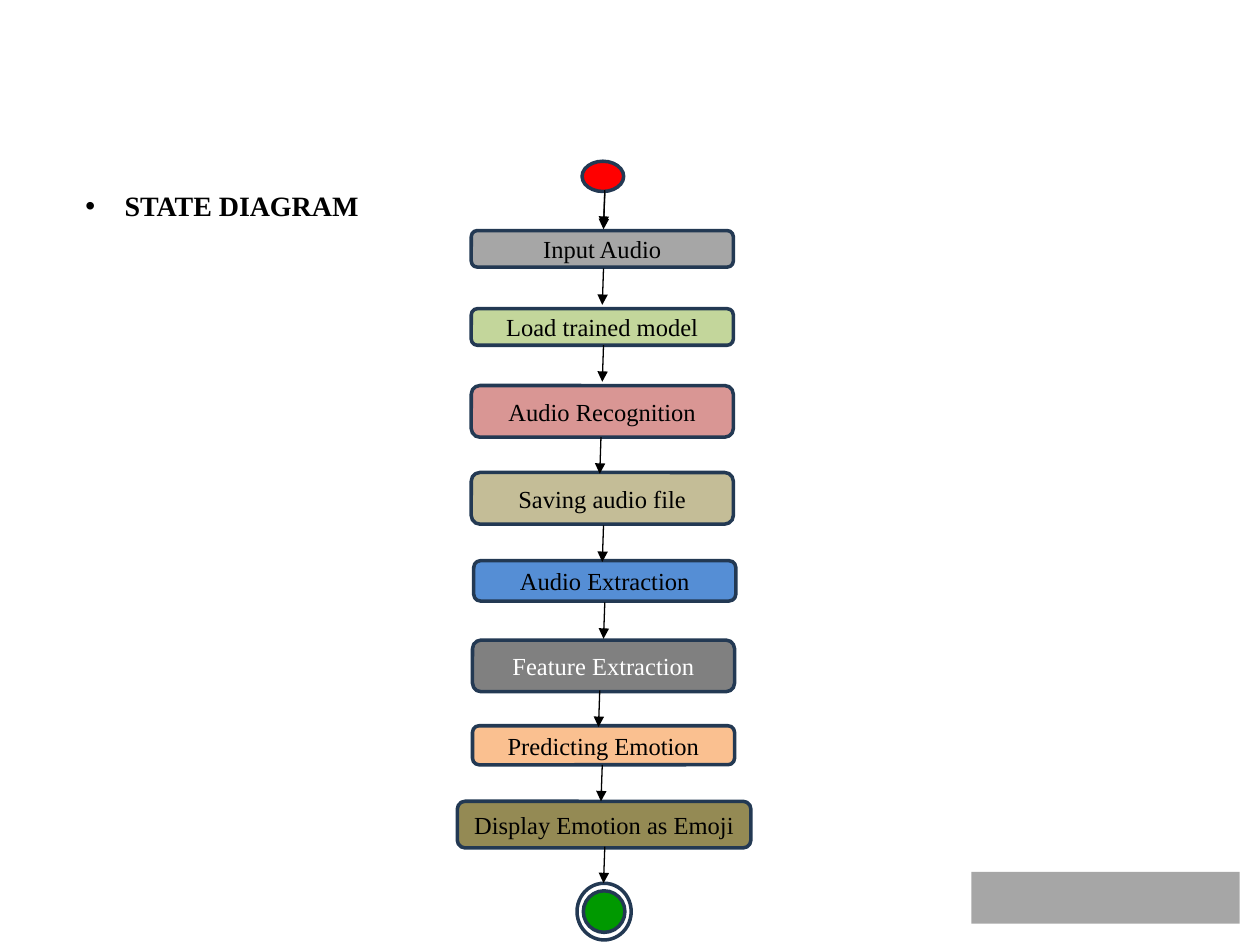
"""Build a state diagram slide for an audio emotion recognition flow."""
from lxml import etree
from pptx import Presentation
from pptx.dml.color import RGBColor
from pptx.enum import shapes as sh, text as tx
from pptx.oxml import ns
from pptx.util import Inches, Pt

BLACK = RGBColor(0, 0, 0)
WHITE = RGBColor(255, 255, 255)
NAVY = RGBColor(0x23, 0x39, 0x53)
RED = RGBColor(255, 0, 0)
GREEN = RGBColor(0, 0x99, 0)
SILVER = RGBColor(0xA6, 0xA6, 0xA6)
LIME = RGBColor(0xC3, 0xD6, 0x9B)
ROSE = RGBColor(0xD9, 0x96, 0x94)
SAND = RGBColor(0xC4, 0xBD, 0x97)
SKY = RGBColor(0x55, 0x8E, 0xD5)
GRAY = RGBColor(0x80, 0x80, 0x80)
PEACH = RGBColor(0xFA, 0xC0, 0x90)
OLIVE = RGBColor(0x94, 0x8A, 0x54)
SERIF = "Times New Roman"

deck = Presentation()
deck.slide_width, deck.slide_height = Inches(10), Inches(7.5)
slide = deck.slides.add_slide(deck.slide_layouts[6])


def style(par, size, color, bold=False):
    face = par.runs[0].font
    face.name, face.size, face.bold = SERIF, Pt(size), bold
    face.color.rgb = color


def draw(kind, area, fill, edge=None):
    item = slide.shapes.add_shape(kind, *map(Inches, area))
    item.shadow.inherit = False
    item.fill.solid()
    item.fill.fore_color.rgb = fill
    if edge is None:
        item.line.fill.background()
    else:
        item.line.color.rgb = edge
        item.line.width = Pt(2)
    return item


draw(sh.MSO_SHAPE.RECTANGLE, (7.71, 6.92, 2.13, 0.41), SILVER)

title = slide.shapes.add_textbox(Inches(0.58), Inches(1.45), Inches(3.08), Inches(0.37))
title.text_frame.word_wrap = True
title.text_frame.text = "STATE DIAGRAM"
par = title.text_frame.paragraphs[0]
style(par, 16, BLACK, True)
props = par._p.get_or_add_pPr()
props.set("marL", str(Inches(0.31)))
props.set("indent", str(-Inches(0.31)))
etree.SubElement(props, ns.qn("a:buFont")).set("typeface", "Arial")
etree.SubElement(props, ns.qn("a:buChar")).set("char", "•")

dot = sh.MSO_SHAPE.FLOWCHART_CONNECTOR
draw(dot, (4.62, 1.28, 0.33, 0.24), RED, NAVY)

states = [
    ("Input Audio", 3.74, 1.83, 2.08, 0.29, SILVER, BLACK),
    ("Load trained model", 3.74, 2.45, 2.08, 0.29, LIME, BLACK),
    ("Audio Recognition", 3.74, 3.06, 2.08, 0.41, ROSE, BLACK),
    ("Saving audio file", 3.74, 3.75, 2.08, 0.41, SAND, BLACK),
    ("Audio Extraction", 3.76, 4.45, 2.08, 0.32, SKY, BLACK),
    ("Feature Extraction", 3.75, 5.08, 2.08, 0.41, GRAY, WHITE),
    ("Predicting Emotion", 3.75, 5.76, 2.08, 0.31, PEACH, BLACK),
    ("Display Emotion as Emoji", 3.63, 6.36, 2.33, 0.37, OLIVE, BLACK),
]
for name, left, top, wide, high, fill, ink in states:
    box = draw(sh.MSO_SHAPE.ROUNDED_RECTANGLE, (left, top, wide, high), fill, NAVY)
    box.text_frame.text = name
    box.text_frame.vertical_anchor = tx.MSO_ANCHOR.MIDDLE
    par = box.text_frame.paragraphs[0]
    par.alignment = tx.PP_ALIGN.CENTER
    style(par, 14, ink)

draw(dot, (4.58, 7.01, 0.43, 0.45), WHITE, NAVY)
draw(dot, (4.63, 7.07, 0.33, 0.33), GREEN, NAVY)

starts = [(4.8, 1.53), (4.79, 2.13), (4.79, 2.74), (4.77, 3.47), (4.79, 4.17),
          (4.8, 4.78), (4.76, 5.48), (4.78, 6.07), (4.8, 1.51), (4.8, 6.72)]
for left, top in starts:
    arrow = slide.shapes.add_connector(
        sh.MSO_CONNECTOR.STRAIGHT, Inches(left), Inches(top),
        Inches(left - 0.01), Inches(top + 0.29))
    arrow.line.color.rgb = BLACK
    arrow.line.width = Pt(0.75)
    etree.SubElement(arrow.line._get_or_add_ln(), ns.qn("a:tailEnd")).set("type", "triangle")
    etree.SubElement(arrow._element.spPr, ns.qn("a:effectLst"))

deck.save("out.pptx")
